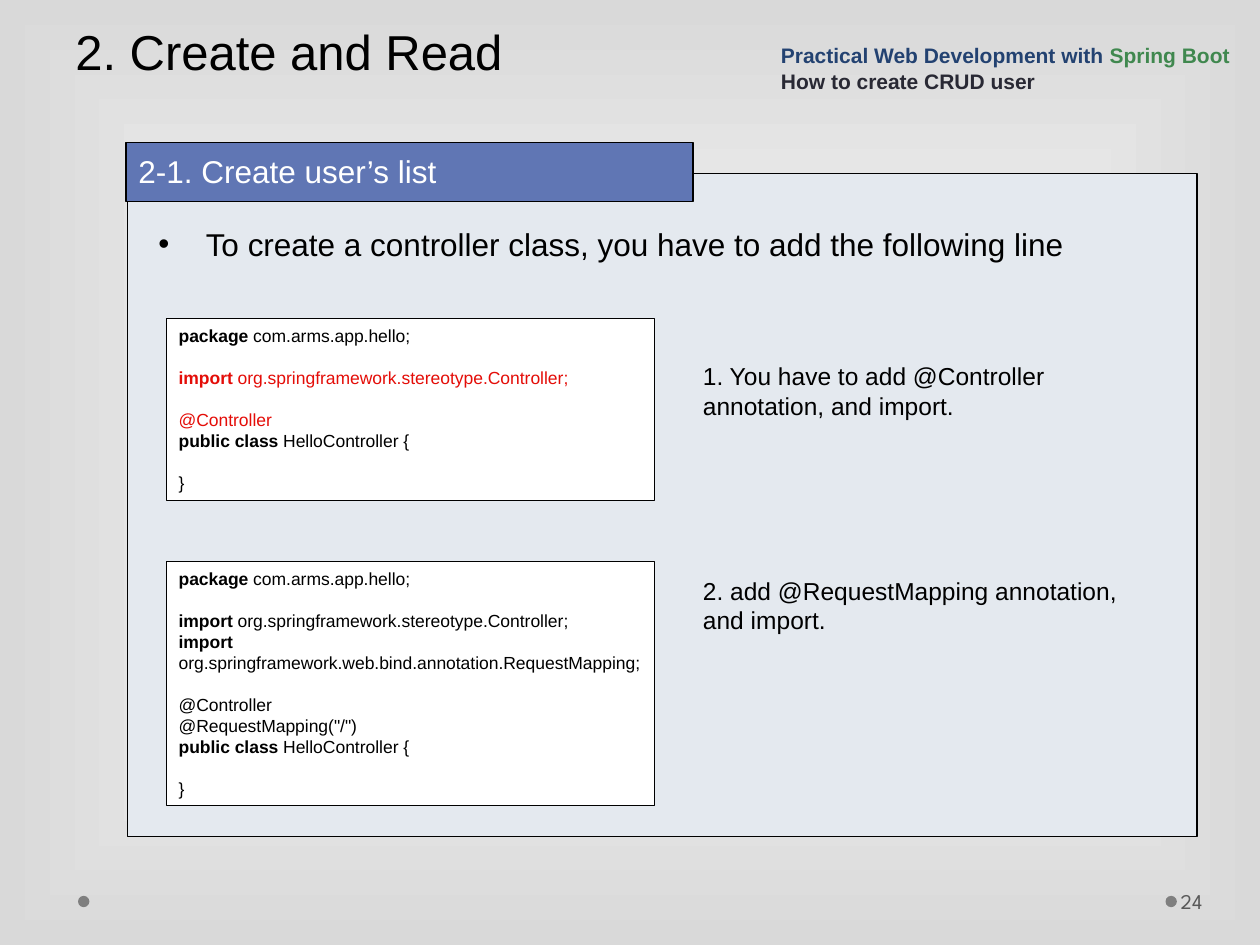
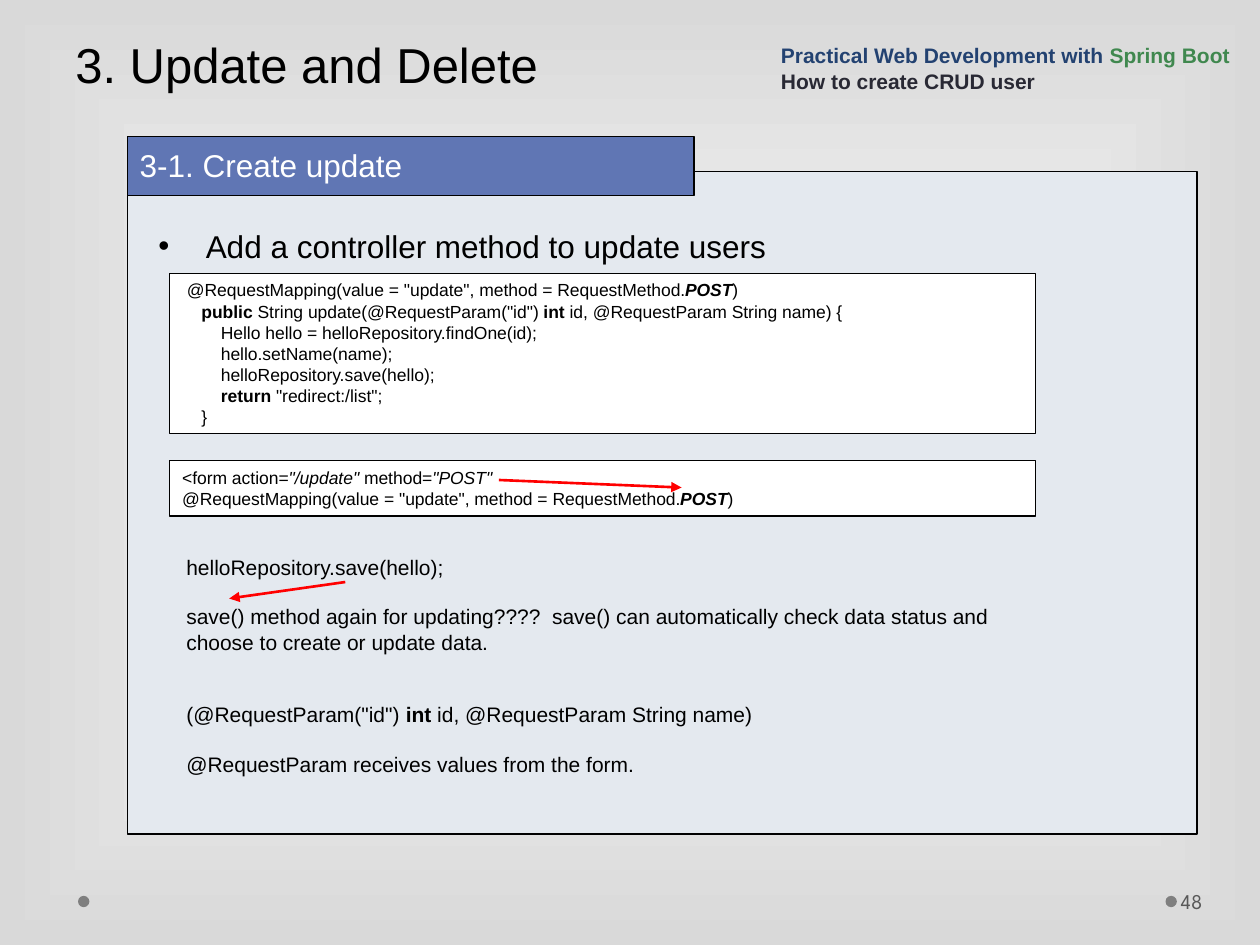
"""Build two tutorial slides on creating and updating users with Spring Boot."""
from dataclasses import dataclass
from typing import Any, NamedTuple, Optional

from lxml.etree import SubElement
from pptx import Presentation
from pptx.dml.color import RGBColor
from pptx.enum.shapes import MSO_CONNECTOR, MSO_SHAPE
from pptx.enum.text import MSO_ANCHOR, PP_ALIGN
from pptx.oxml.ns import qn
from pptx.util import Pt

COLORS = {
    "ink": "000000",
    "white": "FFFFFF",
    "backdrop": "D9D9D9",
    "panel": "E4E9EF",
    "label": "6076B4",
    "dot": "7F7F7F",
    "page": "595959",
    "course": "234271",
    "framework": "40884F",
    "topic": "292934",
    "added": "E40D08",
    "arrow": "FF0000",
}
INSETS = {"margin_left": 7.2, "margin_right": 7.2, "margin_top": 3.6, "margin_bottom": 3.6}
CODE_GAP = 12
NOTE_GAP = 14


class Box(NamedTuple):
    left: float
    top: float
    width: float
    height: float


class Run(NamedTuple):
    words: str
    style: str = ""
    color: str = "ink"


class Line(NamedTuple):
    runs: tuple[Run, ...]
    gap: float = 0


class Arrow(NamedTuple):
    start: tuple[float, float]
    end: tuple[float, float]


@dataclass(frozen=True)
class Block:
    box: Box
    lines: tuple[Line, ...]
    size: float
    fill: Optional[str] = None
    font: str = "Arial"
    anchor: MSO_ANCHOR = MSO_ANCHOR.TOP
    spacing: Any = None
    bulleted: bool = False
    left_inset: float = INSETS["margin_left"]


@dataclass(frozen=True)
class Lesson:
    title: str
    title_box: Box
    page: str
    panel_top: float
    label: str
    label_at: tuple[float, float]
    task: str
    task_top: float
    blocks: tuple[Block, ...]
    arrows: tuple[Arrow, ...] = ()


def rgb(name: str) -> RGBColor:
    """Look up a named colour."""
    return RGBColor.from_string(COLORS[name])


def apply(target: Any, values: dict[str, Any]) -> None:
    """Set every attribute named in values."""
    for name, value in values.items():
        setattr(target, name, value)


def line(*runs: Any, gap: float = 0) -> Line:
    """Make a line from plain strings and styled runs."""
    return Line(tuple(run if isinstance(run, Run) else Run(run) for run in runs), gap)


def bold(words: str, color: str = "ink") -> Run:
    """Make a bold run."""
    return Run(words, "b", color)


def code(box: Box, *lines: Line) -> Block:
    """Make a white code listing."""
    return Block(box, lines, 10, fill="white")


def note(box: Box, size: float, *lines: Line) -> Block:
    """Make a plain explanation."""
    return Block(box, lines, size)


def draw_shape(slide: Any, kind: MSO_SHAPE, box: Box, fill: str, outlined: bool = True) -> Any:
    """Draw a filled preset shape."""
    shape = slide.shapes.add_shape(kind, *map(Pt, box))
    shape.shadow.inherit = False
    shape.fill.solid()
    shape.fill.fore_color.rgb = rgb(fill)
    if outlined:
        shape.line.color.rgb = rgb("ink")
        shape.line.width = Pt(0.75)
    else:
        shape.line.fill.background()
    return shape


def draw_block(slide: Any, block: Block) -> None:
    """Draw a text block, framed when it has a fill."""
    if block.fill:
        holder = draw_shape(slide, MSO_SHAPE.RECTANGLE, block.box, block.fill)
    else:
        holder = slide.shapes.add_textbox(*map(Pt, block.box))
    frame = holder.text_frame
    margins = {side: Pt(inset) for side, inset in INSETS.items()}
    margins["margin_left"] = Pt(block.left_inset)
    apply(frame, {"word_wrap": True, "vertical_anchor": block.anchor, **margins})
    for index, content in enumerate(block.lines):
        paragraph = frame.add_paragraph() if index else frame.paragraphs[0]
        apply(paragraph, {
            "alignment": PP_ALIGN.LEFT,
            "space_before": Pt(content.gap),
            "line_spacing": block.spacing,
        })
        if block.bulleted:
            properties = paragraph._p.get_or_add_pPr()
            properties.set("marL", str(Pt(27)))
            properties.set("indent", str(Pt(-27)))
            SubElement(properties, qn("a:buFont")).set("typeface", "Arial")
            SubElement(properties, qn("a:buChar")).set("char", "•")
        for part in content.runs:
            run = paragraph.add_run()
            run.text = part.words
            apply(run.font, {
                "name": block.font,
                "size": Pt(block.size),
                "bold": "b" in part.style,
                "italic": "i" in part.style,
            })
            run.font.color.rgb = rgb(part.color)


def draw_arrow(slide: Any, arrow: Arrow) -> None:
    """Draw a red arrow."""
    connector = slide.shapes.add_connector(
        MSO_CONNECTOR.STRAIGHT, *map(Pt, arrow.start + arrow.end))
    connector.line.color.rgb = rgb("arrow")
    connector.line.width = Pt(1.5)
    properties = connector._element.spPr
    SubElement(properties.find(qn("a:ln")), qn("a:tailEnd")).set("type", "triangle")
    SubElement(properties, qn("a:effectLst"))


def draw_background(slide: Any) -> None:
    """Fill the slide with a rectangular gradient from its centre."""
    fill = slide.background.fill
    fill.gradient()
    for stop, name in zip(fill.gradient_stops, ("white", "backdrop")):
        stop.color.rgb = rgb(name)
    gradient = slide._element.find(".//" + qn("a:gradFill"))
    gradient.remove(gradient.find(qn("a:lin")))
    shading = SubElement(gradient, qn("a:path"))
    shading.set("path", "rect")
    center = SubElement(shading, qn("a:fillToRect"))
    for side in "ltrb":
        center.set(side, "50000")


def draw_lesson(deck: Any, lesson: Lesson) -> None:
    """Add one lesson slide."""
    slide = deck.slides.add_slide(deck.slide_layouts[6])
    draw_background(slide)
    for left in (666, 44.6):
        draw_shape(slide, MSO_SHAPE.OVAL, Box(left, 511.9, 6.5, 6.5), "dot", outlined=False)
    draw_shape(slide, MSO_SHAPE.RECTANGLE, Box(72.7, lesson.panel_top, 611.3, 378.7), "panel")
    shared = (
        Block(Box(672.5, 500.4, 43.9, 28.8), (line(Run(lesson.page, color="page")),), 12,
              font="League Spartan", anchor=MSO_ANCHOR.MIDDLE, left_inset=2.2),
        Block(lesson.title_box, (line(lesson.title),), 28,
              anchor=MSO_ANCHOR.BOTTOM, spacing=Pt(58)),
        Block(Box(*lesson.label_at, 324, 33.8), (line(Run(lesson.label, color="white")),), 18,
              fill="label", spacing=1.1),
        Block(Box(439.2, 17.3, 280.8, 39.6), (
            line(bold("Practical Web Development with ", "course"),
                 bold("Spring Boot", "framework")),
            line(bold("How to create CRUD user", "topic")),
        ), 12, anchor=MSO_ANCHOR.BOTTOM),
        Block(Box(83.5, lesson.task_top, 532, 30.2), (line(lesson.task),), 18, bulleted=True),
    )
    for block in shared + lesson.blocks:
        draw_block(slide, block)
    for arrow in lesson.arrows:
        draw_arrow(slide, arrow)


PACKAGE = line(bold("package"), " com.arms.app.hello;")
CLASS = line(bold("public class"), " HelloController {")
CLASS_END = line("}", gap=CODE_GAP)
CONTROLLER_IMPORT = " org.springframework.stereotype.Controller;"
UPDATE_MAPPING = '@RequestMapping(value = "update", method = RequestMethod.'
POST = Run("POST", "bi")

LESSONS = (
    Lesson(
        "2. Create and Read", Box(36, 3.6, 648, 46.1), "24", 99.2,
        "2-1. Create user’s list", (72, 81.3),
        "To create a controller class, you have to add the following line", 124.9,
        (
            note(Box(394.6, 203, 241.9, 63.4), 14,
                 line("1. You have to add @Controller annotation, and import.")),
            code(Box(95, 182.2, 278.9, 103.7),
                 PACKAGE,
                 line(bold("import", "added"), Run(CONTROLLER_IMPORT, color="added"),
                      gap=CODE_GAP),
                 line(Run("@Controller", color="added"), gap=CODE_GAP),
                 CLASS,
                 CLASS_END),
            code(Box(95, 320.8, 278.9, 139.7),
                 PACKAGE,
                 line(bold("import"), CONTROLLER_IMPORT, gap=CODE_GAP),
                 line(bold("import"),
                      " org.springframework.web.bind.annotation.RequestMapping;"),
                 line("@Controller", gap=CODE_GAP),
                 line('@RequestMapping("/")'),
                 CLASS,
                 CLASS_END),
            note(Box(394.6, 325.4, 262.8, 63.4), 14,
                 line("2. add @RequestMapping annotation, and import.")),
        ),
    ),
    Lesson(
        "3. Update and Delete", Box(36, 0, 648, 56.9), "48", 97.9,
        "3-1. Create update", (72.7, 77.9),
        "Add a controller method to update users", 126,
        (
            code(Box(97, 156.2, 494.6, 91.4),
                 line(" " + UPDATE_MAPPING, POST, ")"),
                 line("    ", bold("public"), ' String update(@RequestParam("id") ',
                      bold("int"), " id, @RequestParam String name) {"),
                 line("        Hello hello = helloRepository.findOne(id);"),
                 line("        hello.setName(name);"),
                 line("        helloRepository.save(hello);"),
                 line("        ", bold("return"), ' "redirect:/list";'),
                 line("    }")),
            code(Box(97, 263.2, 494.6, 31.7),
                 line("<form action=", Run('"/update"', "i"), " method=", Run('"POST"', "i")),
                 line(UPDATE_MAPPING, POST, ")")),
            note(Box(99.4, 313.2, 494.6, 64.8), 12,
                 line("helloRepository.save(hello);"),
                 line("save() method again for updating????  save() can automatically check "
                      "data status and choose to create or update data.", gap=NOTE_GAP)),
            note(Box(99.4, 397.4, 494.6, 50.4), 12,
                 line('(@RequestParam("id") ', bold("int"), " id, @RequestParam String name)"),
                 line("@RequestParam receives values from the form.", gap=NOTE_GAP)),
        ),
        (Arrow((285.1, 274.3), (389.5, 278.6)), Arrow((197.3, 332.6), (131, 342))),
    ),
)


def main() -> None:
    """Build and save the deck."""
    deck = Presentation()
    apply(deck, {"slide_width": Pt(720), "slide_height": Pt(540)})
    for lesson in LESSONS:
        draw_lesson(deck, lesson)
    deck.save("out.pptx")


if __name__ == "__main__":
    main()
